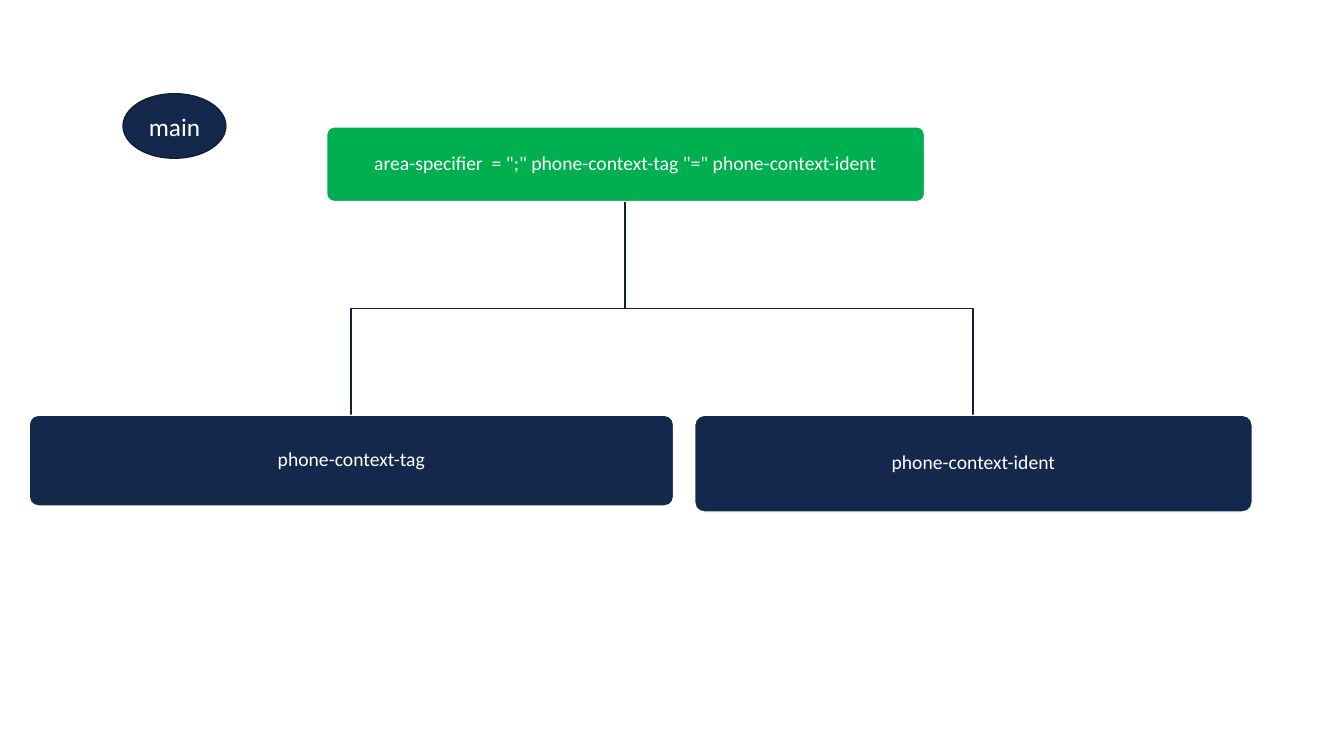
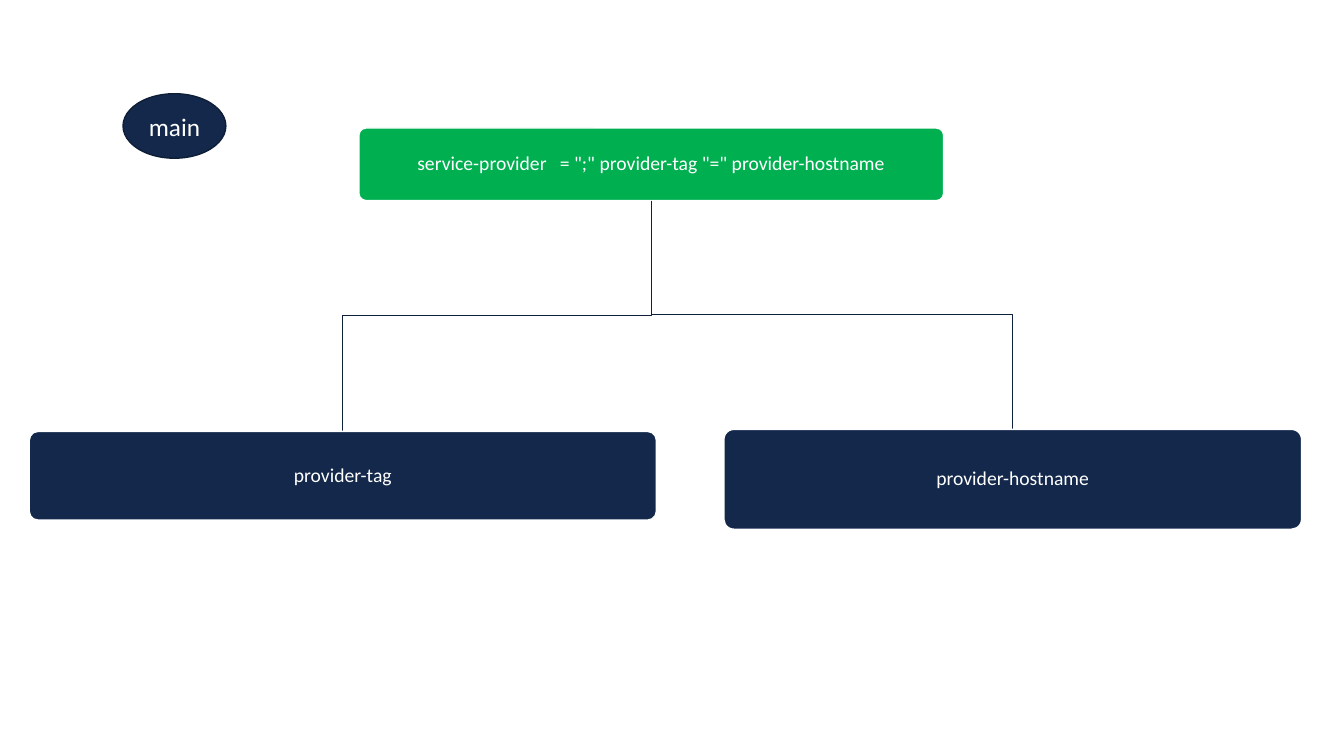
from dataclasses import dataclass

import pptx
import pptx.dml.color
import pptx.enum.shapes
import pptx.enum.text
import pptx.presentation
import pptx.shapes.autoshape
import pptx.slide
import pptx.util

PX = 9144  # EMU per px, 100 px to the inch
SLIDE_W, SLIDE_H = 1333, 750

FONT = "Calibri"
WHITE, NAVY, GREEN = "FFFFFF", "13284B", "00B050"
BRANCH_LINE, BADGE_LINE = "0F203C", "0E1E37"

ROUNDED = pptx.enum.shapes.MSO_SHAPE.ROUNDED_RECTANGLE
OVAL = pptx.enum.shapes.MSO_SHAPE.OVAL


@dataclass(frozen=True)
class Node:
    text: str
    x: int
    y: int
    w: int
    h: int
    fill: str = NAVY
    line: str = WHITE
    size: int = 14
    spacing: float = 0.9

    @property
    def center_x(self) -> int:
        return self.x + self.w // 2

    @property
    def bottom(self) -> int:
        return self.y + self.h


@dataclass(frozen=True)
class Rule:
    root: Node
    children: tuple[Node, ...]


BADGE = Node("main", 122, 93, 102, 64, line=BADGE_LINE, size=18, spacing=1.0)

RULES = (
    Rule(
        Node('area-specifier  = ";" phone-context-tag "=" phone-context-ident',
             324, 126, 593, 74, GREEN),
        (Node("phone-context-tag", 29, 412, 639, 90),
         Node("phone-context-ident", 689, 412, 553, 96)),
    ),
    Rule(
        Node('service-provider   = ";" provider-tag "=" provider-hostname',
             356, 127, 580, 72, GREEN),
        (Node("provider-tag", 29, 428, 622, 88),
         Node("provider-hostname", 718, 426, 573, 99)),
    ),
)


def rgb(color: str) -> pptx.dml.color.RGBColor:
    return pptx.dml.color.RGBColor.from_string(color)


def set_line(sp: pptx.shapes.autoshape.Shape, color: str) -> None:
    sp.shadow.inherit = False
    sp.line.color.rgb = rgb(color)
    sp.line.width = pptx.util.Pt(1)


def add_node(s: pptx.slide.Slide, node: Node,
             kind: pptx.enum.shapes.MSO_SHAPE = ROUNDED) -> None:
    sp = s.shapes.add_shape(kind, *(v * PX for v in (node.x, node.y, node.w, node.h)))
    if kind == ROUNDED:
        sp.adjustments[0] = 0.1
    sp.fill.solid()
    sp.fill.fore_color.rgb = rgb(node.fill)
    set_line(sp, node.line)

    tf = sp.text_frame
    tf.word_wrap = True
    tf.vertical_anchor = pptx.enum.text.MSO_ANCHOR.MIDDLE
    p = tf.paragraphs[0]
    p.alignment = pptx.enum.text.PP_ALIGN.CENTER
    p.line_spacing = node.spacing
    r = p.add_run()
    r.text = node.text
    r.font.name = FONT
    r.font.size = pptx.util.Pt(node.size)
    r.font.color.rgb = rgb(WHITE)


def add_branch(s: pptx.slide.Slide, root: Node, child: Node) -> None:
    """Draw an open elbow from the root's bottom to the child's top."""
    middle_y = (root.bottom + child.y) // 2
    builder = s.shapes.build_freeform(root.center_x, root.bottom, scale=PX)
    builder.add_line_segments(
        [(root.center_x, middle_y), (child.center_x, middle_y), (child.center_x, child.y)],
        close=False,
    )
    sp = builder.convert_to_shape()
    sp.fill.background()
    set_line(sp, BRANCH_LINE)


def add_rule_slide(prs: pptx.presentation.Presentation, rule: Rule) -> None:
    s = prs.slides.add_slide(prs.slide_layouts[6])
    # Rule tree
    add_node(s, rule.root)
    for child in rule.children:
        add_branch(s, rule.root, child)
        add_node(s, child)
    # Badge shared by all slides
    add_node(s, BADGE, OVAL)


def main() -> None:
    prs = pptx.Presentation()
    prs.slide_width, prs.slide_height = SLIDE_W * PX, SLIDE_H * PX
    for rule in RULES:
        add_rule_slide(prs, rule)
    prs.save("out.pptx")


if __name__ == "__main__":
    main()
